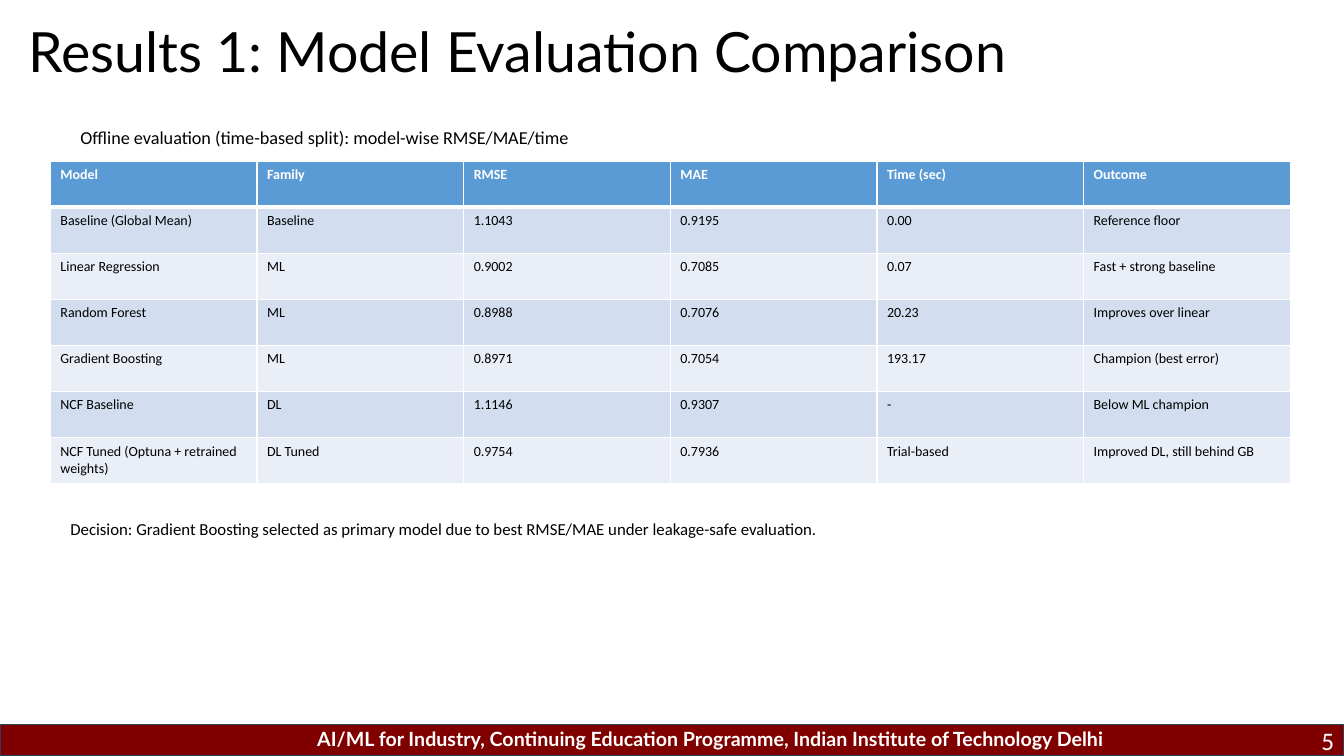
"""Build the model evaluation comparison slide."""
from lxml.etree import SubElement
from pptx import Presentation
from pptx.dml.color import RGBColor
from pptx.enum.shapes import MSO_SHAPE
from pptx.enum.text import MSO_ANCHOR as Anchor, PP_ALIGN as Align
from pptx.oxml.ns import qn
from pptx.util import Pt

COLORS = {
    "black": "000000",
    "white": "FFFFFF",
    "maroon": "800000",
    "footer_line": "28445D",
    "header": "5B9BD5",
    "band_dark": "D2DEEF",
    "band_light": "EAEFF7",
}


def color(name):
    return RGBColor.from_string(COLORS[name])


def write_text(frame, text, size, font="Calibri", ink="black", bold=False,
               align=Align.LEFT, anchor=Anchor.TOP, spacing=None):
    frame.word_wrap = True
    frame.vertical_anchor = anchor
    paragraph = frame.paragraphs[0]
    paragraph.alignment = align
    paragraph.line_spacing = spacing
    run = paragraph.add_run()
    run.text = text
    run.font.name = font
    run.font.size = Pt(size)
    run.font.bold = bold
    run.font.color.rgb = color(ink)


presentation = Presentation()
presentation.slide_width = Pt(960)
presentation.slide_height = Pt(540)
slide = presentation.slides.add_slide(presentation.slide_layouts[6])

footer_bar = slide.shapes.add_shape(MSO_SHAPE.RECTANGLE, Pt(0), Pt(517.5), Pt(960), Pt(22.5))
footer_bar.shadow.inherit = False
footer_bar.fill.solid()
footer_bar.fill.fore_color.rgb = color("maroon")
footer_bar.line.color.rgb = color("footer_line")
footer_bar.line.width = Pt(1)

labels = [
    ("AI/ML for Industry, Continuing Education Programme, Indian Institute of Technology Delhi",
     (164, 515.5, 631.5, 24.5),
     dict(size=14, font="Lato", ink="white", bold=True, align=Align.RIGHT)),
    ("Results 1: Model Evaluation Comparison", (13, 17.3, 841.7, 43.9),
     dict(size=39.6, font="Lato", anchor=Anchor.MIDDLE, spacing=0.9)),
    ("5", (918.7, 514.8, 41.3, 24.5), dict(size=18, ink="white", align=Align.RIGHT)),
    ("Offline evaluation (time-based split): model-wise RMSE/MAE/time",
     (50.4, 86.4, 849.6, 28.8), dict(size=13)),
    ("Decision: Gradient Boosting selected as primary model due to best RMSE/MAE "
     "under leakage-safe evaluation.", (43.2, 367.2, 864, 28.8), dict(size=12)),
]
for text, box, text_format in labels:
    textbox = slide.shapes.add_textbox(*map(Pt, box))
    write_text(textbox.text_frame, text, **text_format)

results = [
    ("Model", "Family", "RMSE", "MAE", "Time (sec)", "Outcome"),
    ("Baseline (Global Mean)", "Baseline", "1.1043", "0.9195", "0.00", "Reference floor"),
    ("Linear Regression", "ML", "0.9002", "0.7085", "0.07", "Fast + strong baseline"),
    ("Random Forest", "ML", "0.8988", "0.7076", "20.23", "Improves over linear"),
    ("Gradient Boosting", "ML", "0.8971", "0.7054", "193.17", "Champion (best error)"),
    ("NCF Baseline", "DL", "1.1146", "0.9307", "-", "Below ML champion"),
    ("NCF Tuned (Optuna + retrained weights)", "DL Tuned", "0.9754", "0.7936",
     "Trial-based", "Improved DL, still behind GB"),
]
table = slide.shapes.add_table(len(results), len(results[0]),
                               Pt(36), Pt(115.2), Pt(885.6), Pt(230.4)).table
for row_index, row in enumerate(results):
    is_header = row_index == 0
    band = "header" if is_header else "band_dark" if row_index % 2 else "band_light"
    for column_index, text in enumerate(row):
        cell = table.cell(row_index, column_index)
        write_text(cell.text_frame, text, 10, ink="white" if is_header else "black",
                   bold=is_header)
        properties = cell._tc.get_or_add_tcPr()
        for side in ("lnL", "lnR", "lnT", "lnB"):
            thick = (is_header and side == "lnB") or (row_index == 1 and side == "lnT")
            border = SubElement(properties, qn(f"a:{side}"), w=str(Pt(3 if thick else 1)))
            border_fill = SubElement(border, qn("a:solidFill"))
            SubElement(border_fill, qn("a:srgbClr"), val=COLORS["white"])
        cell.fill.solid()
        cell.fill.fore_color.rgb = color(band)

presentation.save("out.pptx")
